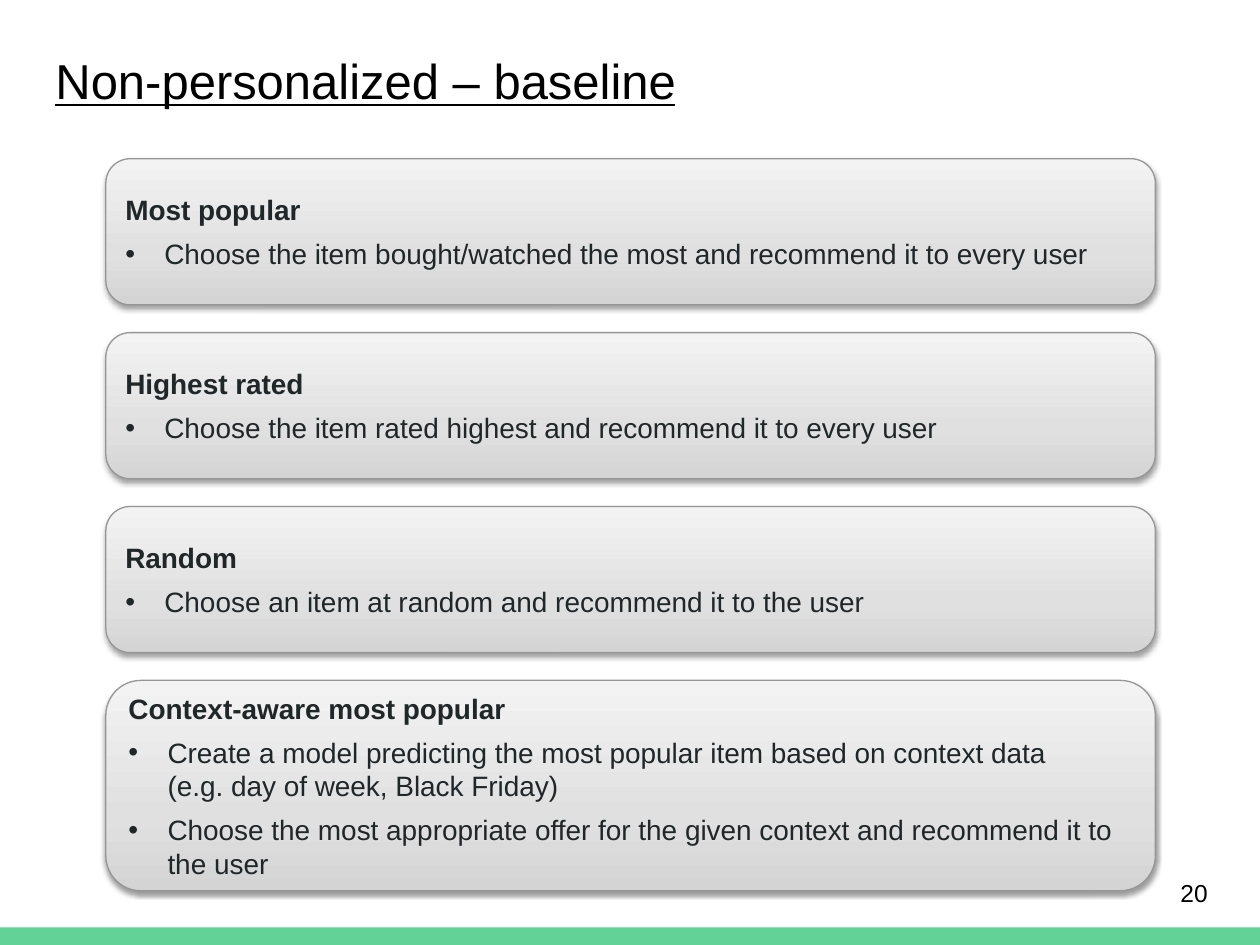
import pptx
import pptx.dml.color
import pptx.enum.shapes
import pptx.enum.text
import pptx.oxml
import pptx.oxml.ns
import pptx.util
from lxml import etree

Inches, Pt = pptx.util.Inches, pptx.util.Pt
ALIGN, ANCHOR = pptx.enum.text.PP_ALIGN, pptx.enum.text.MSO_ANCHOR
SHAPE = pptx.enum.shapes.MSO_SHAPE
qn = pptx.oxml.ns.qn

CARD_LEFT, CARD_TOP, CARD_WIDTH, CARD_GAP = 0.84, 1.26, 8.33, 0.22
CARD_HEIGHT, TALL_HEIGHT = 1.16, 1.67
CARD_STOPS = [(0, "D4D4D4"), (35, "E0E0E0"), (100, "F3F3F3")]
CARD_TEXT = {"name": "Arial", "size": Pt(16)}
CARDS = [
    (CARD_HEIGHT, "Most popular",
     ["Choose the item bought/watched the most and recommend it to every user"]),
    (CARD_HEIGHT, "Highest rated",
     ["Choose the item rated highest and recommend it to every user"]),
    (CARD_HEIGHT, "Random",
     ["Choose an item at random and recommend it to the user"]),
    (TALL_HEIGHT, "Context-aware most popular",
     ["Create a model predicting the most popular item based on context data \n"
      "(e.g. day of week, Black Friday)",
      "Choose the most appropriate offer for the given context and recommend it to the user"]),
]


def color(value):
    return pptx.dml.color.RGBColor.from_string(value)


def set_all(target, values):
    for name, value in values.items():
        setattr(target, name, value)


def place(shape, box):
    set_all(shape, dict(zip(("left", "top", "width", "height"), map(Inches, box))))


def write(para, text, font, hue):
    para.text = text
    for span in para.runs:
        set_all(span.font, font)
        span.font.color.rgb = color(hue)
    # Line breaks take the size of the text around them
    for line_break in para._p.findall(qn("a:br")):
        etree.SubElement(line_break, qn("a:rPr"), sz=str(int(font["size"].pt * 100)))


def format_frame(frame):
    inset = Inches(0.1)
    set_all(frame, {"word_wrap": True, "vertical_anchor": ANCHOR.MIDDLE,
                    "margin_left": inset, "margin_right": inset,
                    "margin_top": inset, "margin_bottom": inset})


def add_bullet(para):
    properties = para._p.get_or_add_pPr()
    properties.set("marL", str(Inches(0.31)))
    properties.set("indent", str(-Inches(0.31)))
    etree.SubElement(properties, qn("a:buFont"), typeface="Arial")
    etree.SubElement(properties, qn("a:buChar"), char="•")


def style_card(card):
    # Gradient from the bottom edge up
    card.fill.gradient()
    card.fill.gradient_angle = 90
    stops = card._element.spPr.find(qn("a:gradFill")).find(qn("a:gsLst"))
    for stop in list(stops):
        stops.remove(stop)
    for percent, hue in CARD_STOPS:
        stop = etree.SubElement(stops, qn("a:gs"), pos=str(percent * 1000))
        etree.SubElement(stop, qn("a:srgbClr"), val=hue)
    card.line.color.rgb = color("969696")
    card.line.width = Pt(0.75)
    # Soft shadow straight below
    card.shadow.inherit = False
    effects = card._element.spPr.find(qn("a:effectLst"))
    shadow = etree.SubElement(effects, qn("a:outerShdw"), blurRad=str(Pt(3.1)),
                              dist=str(Pt(1.6)), dir="5400000", rotWithShape="0")
    hue = etree.SubElement(shadow, qn("a:srgbClr"), val="000000")
    etree.SubElement(hue, qn("a:alpha"), val="38000")


def add_title(page, box, text):
    title = page.shapes.title
    place(title, box)
    format_frame(title.text_frame)
    para = title.text_frame.paragraphs[0]
    para.alignment = ALIGN.LEFT
    write(para, text, {"name": "Arial", "size": Pt(28), "underline": True}, "000000")


def add_card(page, box, heading, points):
    card = page.shapes.add_shape(SHAPE.ROUNDED_RECTANGLE, *map(Inches, box))
    style_card(card)
    frame = card.text_frame
    set_all(frame, {"word_wrap": True, "vertical_anchor": ANCHOR.MIDDLE})
    for index, text in enumerate([heading] + points):
        para = frame.add_paragraph() if index else frame.paragraphs[0]
        set_all(para, {"alignment": ALIGN.LEFT, "space_after": Pt(6)})
        write(para, text, {**CARD_TEXT, "bold": index == 0}, "202729")
        if index:
            add_bullet(para)


def add_footer(page, bar_box, number_box, number):
    bar = page.shapes.add_shape(SHAPE.RECTANGLE, *map(Inches, bar_box))
    bar.shadow.inherit = False
    bar.fill.solid()
    bar.fill.fore_color.rgb = color("63D297")
    bar.line.fill.background()
    label = page.shapes.add_textbox(*map(Inches, number_box))
    format_frame(label.text_frame)
    write(label.text_frame.paragraphs[0], number,
          {"name": "Arial", "size": Pt(14)}, "000000")


def main():
    deck = pptx.Presentation()
    set_all(deck, {"slide_width": Inches(10), "slide_height": Inches(7.5)})
    page = deck.slides.add_slide(deck.slide_layouts.get_by_name("Title Only"))
    add_title(page, (0.34, 0.25, 9.32, 0.77), "Non-personalized – baseline")
    add_footer(page, (0, 7.36, 10, 0.14), (9.27, 6.8, 0.6, 0.57), "20")
    # Cards stacked with equal gaps
    top = CARD_TOP
    for height, heading, points in CARDS:
        add_card(page, (CARD_LEFT, top, CARD_WIDTH, height), heading, points)
        top += height + CARD_GAP
    deck.save("out.pptx")


if __name__ == "__main__":
    main()
